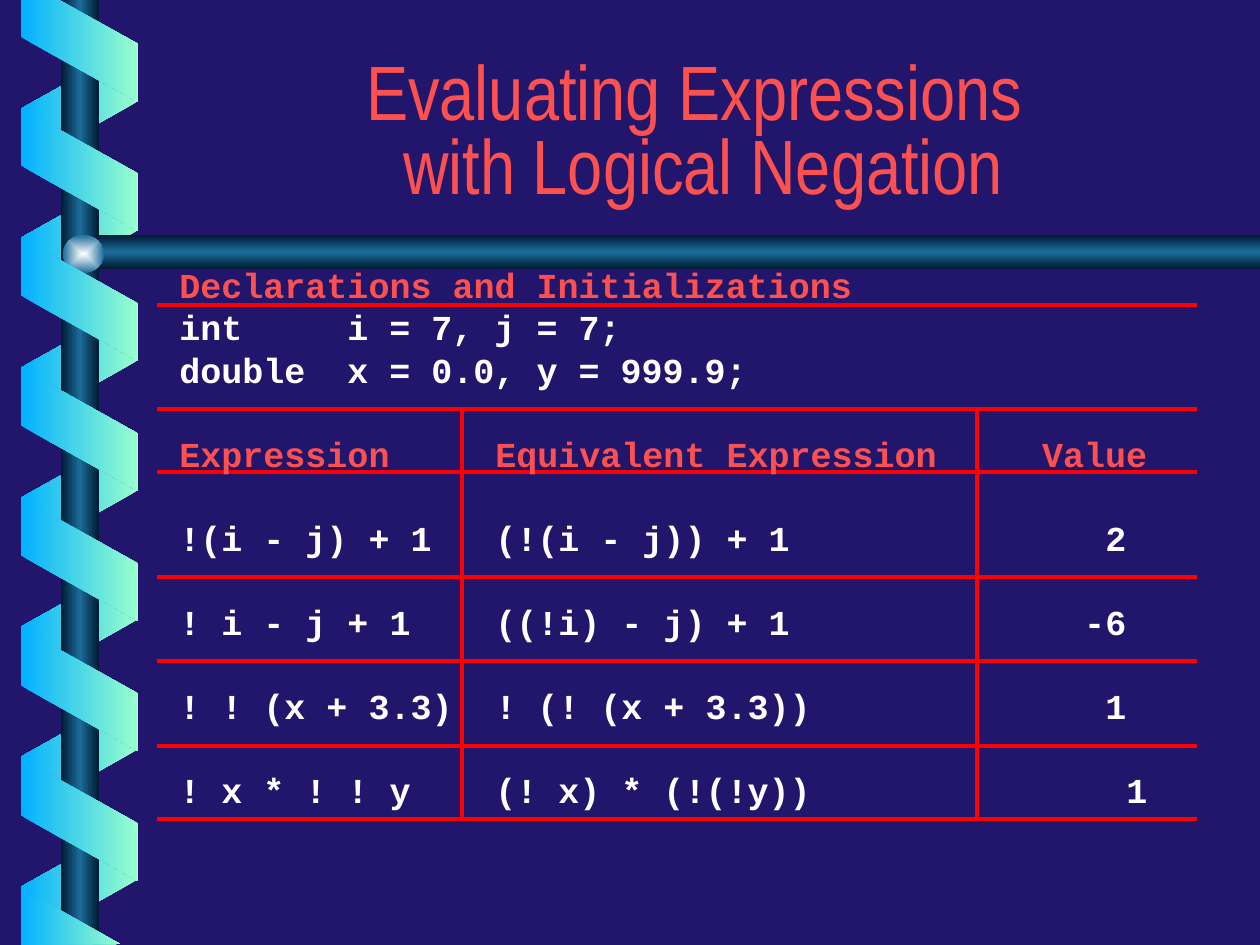
from lxml import etree
from pptx import Presentation
from pptx import util as u
from pptx.dml.color import RGBColor
from pptx.enum import shapes, text
from pptx.oxml import ns

PX = 914400 // 126
NAVY, CORAL, WHITE, RED = "22166C", "FF5050", "FFFFFF", "FF0000"
COIL = [(0, "01B0FF"), (100, "99FFCC")]
COIL_BACK = [(0, "99FFCC"), (100, "01B0FF")]
BAR = [(0, "001932"), (50, "1C6D9A"), (100, "001932")]
BALL = [(0, "FEFFFF"), (100, "1C6D9A")]

TITLE = ["Evaluating Expressions ", "with Logical Negation"]

# Tab stops: (distance from the text edge, alignment)
DECLARE = [(168, "l")]
ROW = [(316, "l"), (947, "r")]
ROW_WIDE = [(316, "l"), (968, "r")]
LINE_PT = 24
# (cells, colour, tab stops, space before in lines)
CODE = [
    (["Declarations and Initializations"], CORAL, [], 0),
    (["int", "i = 7, j = 7;"], WHITE, DECLARE, 0),
    (["double", "x = 0.0, y = 999.9;"], WHITE, DECLARE, 0),
    (["Expression", "Equivalent Expression", "Value"], CORAL, ROW_WIDE, 1),
    (["!(i - j) + 1", "(!(i - j)) + 1", "2"], WHITE, ROW, 1),
    (["! i - j + 1", "((!i) - j) + 1", "-6"], WHITE, ROW, 1),
    (["! ! (x + 3.3)", "! (! (x + 3.3))", "1"], WHITE, ROW, 1),
    (["! x * ! ! y", "(! x) * (!(!y))", "1"], WHITE, ROW_WIDE, 1),
]
RULE_LEFT, RULE_RIGHT = 157, 1197
RULES_Y = [305, 409, 472, 577, 661, 746, 819]
DIVIDERS_X = [462, 977]
DIVIDER_TOP, DIVIDER_BOTTOM = 409, 819


def px(*lengths):
    """Turn pixel lengths into EMU."""
    return [n * PX for n in lengths]


def rgb(value):
    """Turn a hex string into a colour."""
    return RGBColor.from_string(value)


def gradient(sp, stops, angle=0, centred=False):
    """Fill a shape with a gradient, without outline or shadow."""
    sp.shadow.inherit = False
    sp.line.fill.background()
    sp.fill.gradient()
    grad = sp._element.spPr.find(ns.qn("a:gradFill"))
    grad.set("rotWithShape", "0")
    for child in list(grad):
        grad.remove(child)
    gs_list = etree.SubElement(grad, ns.qn("a:gsLst"))
    for pos, value in stops:
        gs = etree.SubElement(gs_list, ns.qn("a:gs"), pos=str(pos * 1000))
        etree.SubElement(gs, ns.qn("a:srgbClr"), val=value)
    if centred:
        shade = etree.SubElement(grad, ns.qn("a:path"), path="rect")
        etree.SubElement(shade, ns.qn("a:fillToRect"),
                         l="50000", t="50000", r="50000", b="50000")
    else:
        etree.SubElement(grad, ns.qn("a:lin"), ang=str(angle * 60000), scaled="1")


def add_preset(s, kind, box, stops, **options):
    """Add a preset shape with a gradient."""
    sp = s.shapes.add_shape(kind, *px(*box))
    gradient(sp, stops, **options)
    return sp


def add_outline(s, points, stops, angle=0):
    """Add a closed polygon with a gradient."""
    points = [tuple(px(*point)) for point in points]
    builder = s.shapes.build_freeform(*points[0])
    builder.add_line_segments(points[1:], close=True)
    gradient(builder.convert_to_shape(), stops, angle)


def add_turn(s, top, height, stops, rotation, flip=False):
    """Add one turn of the coil."""
    sp = add_preset(s, shapes.MSO_SHAPE.PARALLELOGRAM, (18, top, 123, height), stops)
    sp.adjustments[0] = 0.56
    sp.rotation = rotation
    if flip:
        sp._element.spPr.find(ns.qn("a:xfrm")).set("flipH", "1")


def add_run(p, words, size, font, colour, bold=False):
    """Add a formatted run to a paragraph."""
    r = p.add_run()
    r.text = words
    r.font.size, r.font.name, r.font.bold = u.Pt(size), font, bold
    r.font.color.rgb = rgb(colour)


def set_tabs(p, stops):
    """Give a paragraph its tab stops."""
    tabs = etree.SubElement(p._p.get_or_add_pPr(), ns.qn("a:tabLst"))
    for pos, align in stops:
        etree.SubElement(tabs, ns.qn("a:tab"), pos=str(pos * PX), algn=align)


def add_rule(s, x1, y1, x2, y2):
    """Add a red rule."""
    line = s.shapes.add_connector(shapes.MSO_CONNECTOR.STRAIGHT, *px(x1, y1, x2, y2))
    line.line.color.rgb = rgb(RED)
    line.line.width = u.Pt(2)
    etree.SubElement(line._element.spPr, ns.qn("a:effectLst"))


def add_coil(s):
    """Draw the bars with the coil wound around them."""
    for k in range(7):
        add_turn(s, 47 + 778 * k // 6, 116, COIL_BACK, 90, flip=True)
    add_preset(s, shapes.MSO_SHAPE.RECTANGLE, (61, 0, 38, 945), BAR)
    add_outline(s, [(1260, 235), (96, 235), (76, 252), (96, 269), (1260, 269)], BAR, 90)
    add_preset(s, shapes.MSO_SHAPE.OVAL, (63, 235, 41, 38), BALL, centred=True)
    for k in range(6):
        add_turn(s, 111 + 130 * k, 117, COIL, 270)
    add_outline(s, [(21, 0), (21, 37), (138, 102), (138, 44), (59, 0)], COIL)
    add_outline(s, [(120, 944), (21, 888), (21, 945)], COIL)


def add_title(s):
    """Fill the title placeholder."""
    title = s.shapes.title
    title.left, title.top, title.width, title.height = px(168, 58, 1071, 158)
    tf = title.text_frame
    tf.auto_size = text.MSO_AUTO_SIZE.NONE
    tf.vertical_anchor = text.MSO_ANCHOR.BOTTOM
    p = tf.paragraphs[0]
    p.alignment, p.line_spacing = text.PP_ALIGN.CENTER, 0.8
    for i, words in enumerate(TITLE):
        if i:
            p.add_line_break()
        add_run(p, words, 44, "Arial Narrow", CORAL)


def add_code(s):
    """Set the declarations and the expression rows, with baselines above the rules."""
    tf = s.shapes.add_textbox(*px(167, 262, 1000, 559)).text_frame
    tf.word_wrap = True
    tf.margin_top = px(2)[0]
    for i, (cells, colour, stops, gap) in enumerate(CODE):
        p = tf.add_paragraph() if i else tf.paragraphs[0]
        p.line_spacing = u.Pt(LINE_PT)
        p.space_before = u.Pt(gap * LINE_PT)
        set_tabs(p, stops)
        add_run(p, "\t".join(cells), 20, "Courier New", colour, bold=True)


prs = Presentation()
prs.slide_width, prs.slide_height = px(1260, 945)
s = prs.slides.add_slide(prs.slide_layouts[5])
s.background.fill.solid()
s.background.fill.fore_color.rgb = rgb(NAVY)
add_coil(s)
add_title(s)
for x in DIVIDERS_X:
    add_rule(s, x, DIVIDER_TOP, x, DIVIDER_BOTTOM)
for y in RULES_Y:
    add_rule(s, RULE_LEFT, y, RULE_RIGHT, y)
add_code(s)
prs.save("out.pptx")
